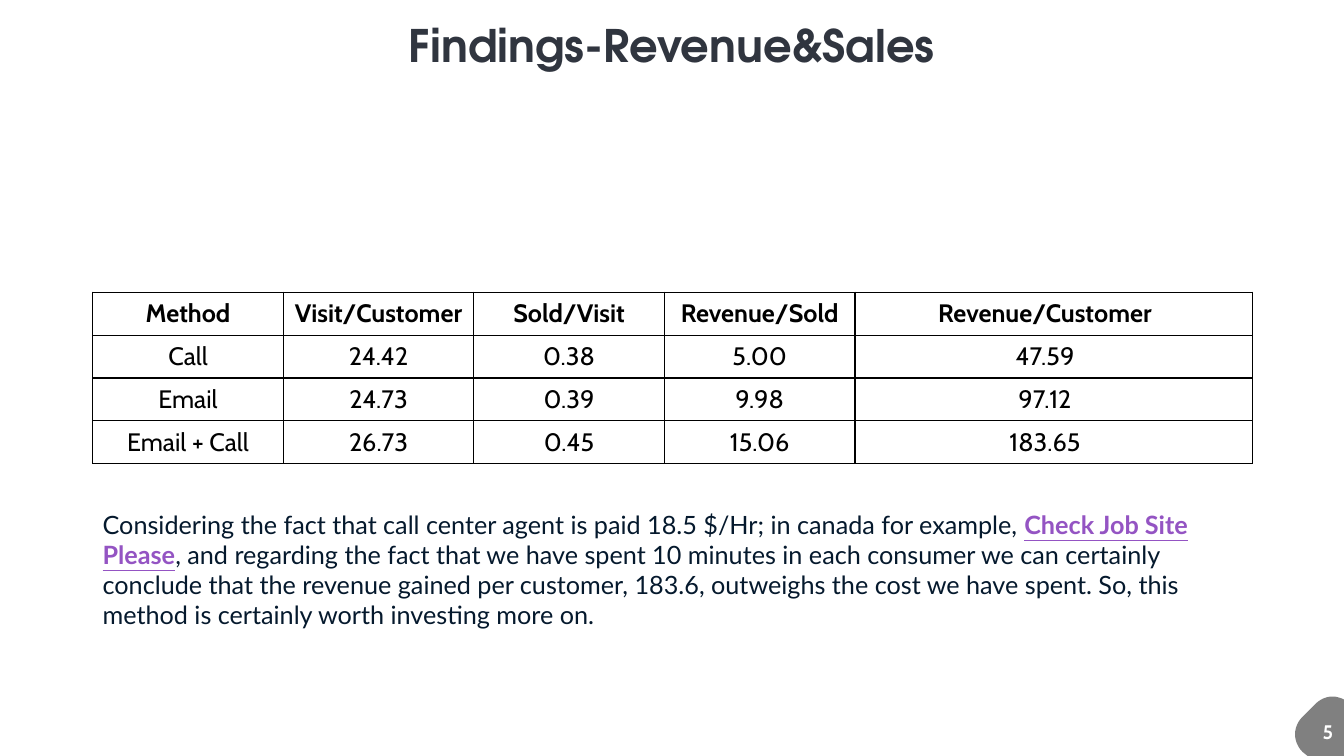
import pptx
import pptx.util
import pptx.dml.color
import pptx.enum.text
import pptx.oxml
import pptx.oxml.ns

Inches = pptx.util.Inches
Pt = pptx.util.Pt
ALIGN = pptx.enum.text.PP_ALIGN
MIDDLE = pptx.enum.text.MSO_ANCHOR.MIDDLE

ROWS = [
    ["Method", "Visit/Customer", "Sold/Visit", "Revenue/Sold", "Revenue/Customer"],
    ["Call", "24.42", "0.38", "5.00", "47.59"],
    ["Email", "24.73", "0.39", "9.98", "97.12"],
    ["Email + Call", "26.73", "0.45", "15.06", "183.65"],
]


def color(code):
    return pptx.dml.color.RGBColor.from_string(code)


def write(para, text, font="Cabin", size=18, ink="000000", bold=False, line=False):
    run = para.add_run()
    run.text = text
    run.font.name = font
    run.font.size = Pt(size)
    run.font.color.rgb = color(ink)
    run.font.bold = bold
    run.font.underline = line


def frame(slide, box, wrap=False, inset=None):
    text = slide.shapes.add_textbox(*map(Inches, box)).text_frame
    text.word_wrap = wrap
    if inset is not None:
        text.margin_left = text.margin_right = Inches(inset)
        text.margin_top = text.margin_bottom = Inches(inset)
    return text.paragraphs[0]


def border(cell, ink="000000", width=1):
    props = cell._tc.get_or_add_tcPr()
    space = pptx.oxml.ns.nsdecls("a")
    for side in "LRTB":
        props.append(pptx.oxml.parse_xml(
            f'<a:ln{side} {space} w="{Pt(width)}"><a:solidFill>'
            f'<a:srgbClr val="{ink}"/></a:solidFill></a:ln{side}>'))


def curve(start, first, second, end, steps=12):
    points = []
    for step in range(1, steps + 1):
        t = step / steps
        u = 1 - t
        points.append(tuple(
            u**3 * a + 3 * u * u * t * b + 3 * u * t * t * c + t**3 * d
            for a, b, c, d in zip(start, first, second, end)))
    return points


# Heading
def title(slide, box):
    para = frame(slide, box, inset=0)
    para.alignment = ALIGN.CENTER
    write(para, "Findings-Revenue&Sales", font="TeX Gyre Adventor", size=32,
          ink="30353F", bold=True)


# Results by contact method
def grid(slide, box, narrow=1.89, pad=0.06, gap=0.23):
    count = len(ROWS[0])
    shape = slide.shapes.add_table(len(ROWS), count, *map(Inches, box))
    table = shape.table
    for col in table.columns:
        col.width = Inches(narrow)
    table.columns[count - 1].width = Inches(box[2] - narrow * (count - 1))
    for r, row in enumerate(ROWS):
        for c, text in enumerate(row):
            cell = table.cell(r, c)
            border(cell)
            cell.fill.background()
            cell.vertical_anchor = MIDDLE
            cell.margin_left = cell.margin_top = cell.margin_bottom = Inches(pad)
            cell.margin_right = Inches(gap if c == count - 1 else pad)
            para = cell.text_frame.paragraphs[0]
            para.alignment = ALIGN.CENTER
            write(para, text, bold=r == 0)


# Conclusion
def note(slide, box):
    para = frame(slide, box, wrap=True)
    body = {"font": "Lato", "ink": "05192D"}
    write(para, "Considering the fact that call center agent is paid 18.5 $/Hr; "
          "in canada for example, ", **body)
    write(para, "Check Job Site Please", font="Lato", ink="9454C3", bold=True, line=True)
    write(para, ", and regarding the fact that we have spent 10 minutes in each "
          "consumer we can certainly conclude that the revenue gained per customer, "
          "183.6, outweighs the cost we have spent. So, this method is certainly "
          "worth investing more on.", **body)


# Page number on a corner badge
def badge(slide, box):
    left, top, wide, high = box
    points = [(0.33, 0)]
    points += curve((0.33, 0), (0.36, 0), (0.39, 0.01), (0.42, 0.02))
    points += [(wide, 0.03), (wide, high), (0.08, high), (0.03, 0.55)]
    points += curve((0.03, 0.55), (-0.07, 0.45), (-0.07, 0.3), (0.03, 0.2))
    points += [(0.15, 0.08)]
    points += curve((0.15, 0.08), (0.2, 0.03), (0.26, 0), (0.33, 0))
    spots = [(Inches(left + x), Inches(top + y)) for x, y in points]
    build = slide.shapes.build_freeform(*spots[0])
    build.add_line_segments(spots[1:], close=True)
    shape = build.convert_to_shape()
    shape.shadow.inherit = False
    shape.fill.solid()
    shape.fill.fore_color.rgb = color("808080")
    shape.line.fill.background()
    para = frame(slide, (left + 0.13, top + 0.18, 0.3, 0.34))
    write(para, "5", size=14, ink="FFFFFF", bold=True)


def main():
    deck = pptx.Presentation()
    deck.slide_width = Inches(13.33)
    deck.slide_height = Inches(7.5)
    slide = deck.slides.add_slide(deck.slide_layouts[6])
    title(slide, (4.02, 0.18, 5.29, 0.54))
    badge(slide, (12.89, 6.91, 0.44, 0.59))
    grid(slide, (0.92, 2.9, 11.5, 1.7))
    note(slide, (0.92, 5, 11.5, 1.31))
    deck.save("out.pptx")


if __name__ == "__main__":
    main()
